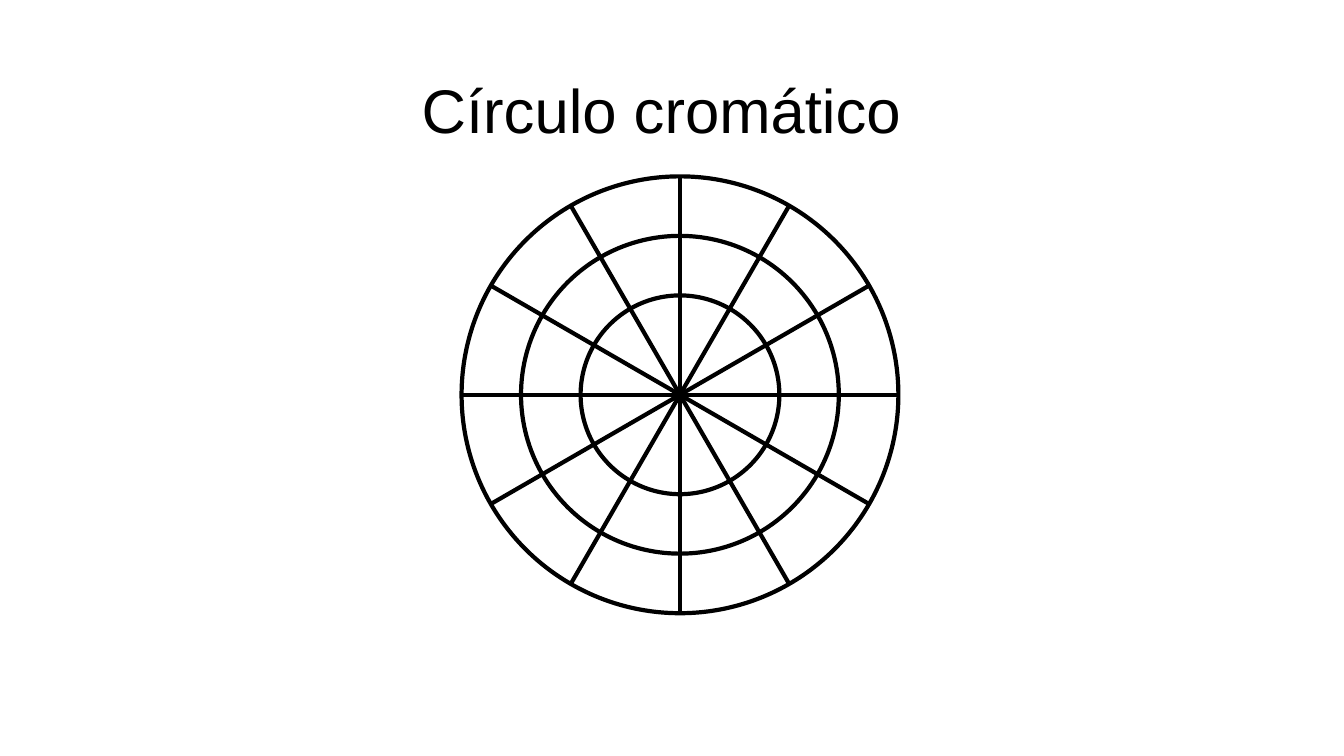
from math import cos, radians, sin

from pptx import Presentation
from pptx import util as u
from pptx.dml.color import RGBColor
from pptx.enum import shapes, text
from pptx.oxml.ns import qn
from lxml import etree

COLORS = {"ink": "000000", "paper": "FFFFFF"}


class Wheel:
    """Draws the title, rings and spokes of a colour wheel on one slide."""

    def __init__(self, slide, cx, cy, weight):
        self.s, self.cx, self.cy, self.weight = slide, cx, cy, weight
        self.ink = RGBColor.from_string(COLORS["ink"])
        fill = slide.background.fill
        fill.solid()
        fill.fore_color.rgb = RGBColor.from_string(COLORS["paper"])

    def apply(self, obj, values):
        for name, value in values.items():
            setattr(obj, name, value)

    def stroke(self, sp):
        sp.line.color.rgb = self.ink
        sp.line.width = u.Pt(self.weight)

    def title(self, words, left, top, width, height):
        sp = self.s.shapes.title
        self.apply(sp, {"left": u.Pt(left), "top": u.Pt(top),
                        "width": u.Pt(width), "height": u.Pt(height)})
        tf = sp.text_frame
        tf.text = words
        self.apply(tf, {"word_wrap": True, "auto_size": text.MSO_AUTO_SIZE.NONE,
                        "vertical_anchor": text.MSO_ANCHOR.MIDDLE})
        p = tf.paragraphs[0]
        self.apply(p, {"alignment": text.PP_ALIGN.LEFT, "line_spacing": 0.9})
        r = p.runs[0]
        self.apply(r.font, {"name": "Arial", "size": u.Pt(44)})
        r.font.color.rgb = self.ink

    def ring(self, radius):
        sp = self.s.shapes.add_shape(
            shapes.MSO_SHAPE.FLOWCHART_CONNECTOR,
            u.Pt(self.cx - radius), u.Pt(self.cy - radius),
            u.Pt(2 * radius), u.Pt(2 * radius))
        sp.shadow.inherit = False
        sp.fill.background()
        self.stroke(sp)

    def spoke(self, angle, radius):
        dx, dy = radius * cos(radians(angle)), radius * sin(radians(angle))
        sp = self.s.shapes.add_connector(
            shapes.MSO_CONNECTOR.STRAIGHT,
            u.Pt(self.cx - dx), u.Pt(self.cy - dy),
            u.Pt(self.cx + dx), u.Pt(self.cy + dy))
        self.stroke(sp)
        etree.SubElement(sp._element.spPr, qn("a:effectLst"))


def main():
    prs = Presentation()
    prs.slide_width, prs.slide_height = u.Pt(960), u.Pt(540)
    s = prs.slides.add_slide(prs.slide_layouts[5])
    wheel = Wheel(s, 485.7, 282, 3)
    wheel.title("Círculo cromático", 294, 29, 373, 104)
    radii = [71, 113.5, 156]
    for radius in radii:
        wheel.ring(radius)
    for angle in range(0, 180, 30):
        wheel.spoke(angle, radii[-1])
    prs.save("out.pptx")


if __name__ == "__main__":
    main()
